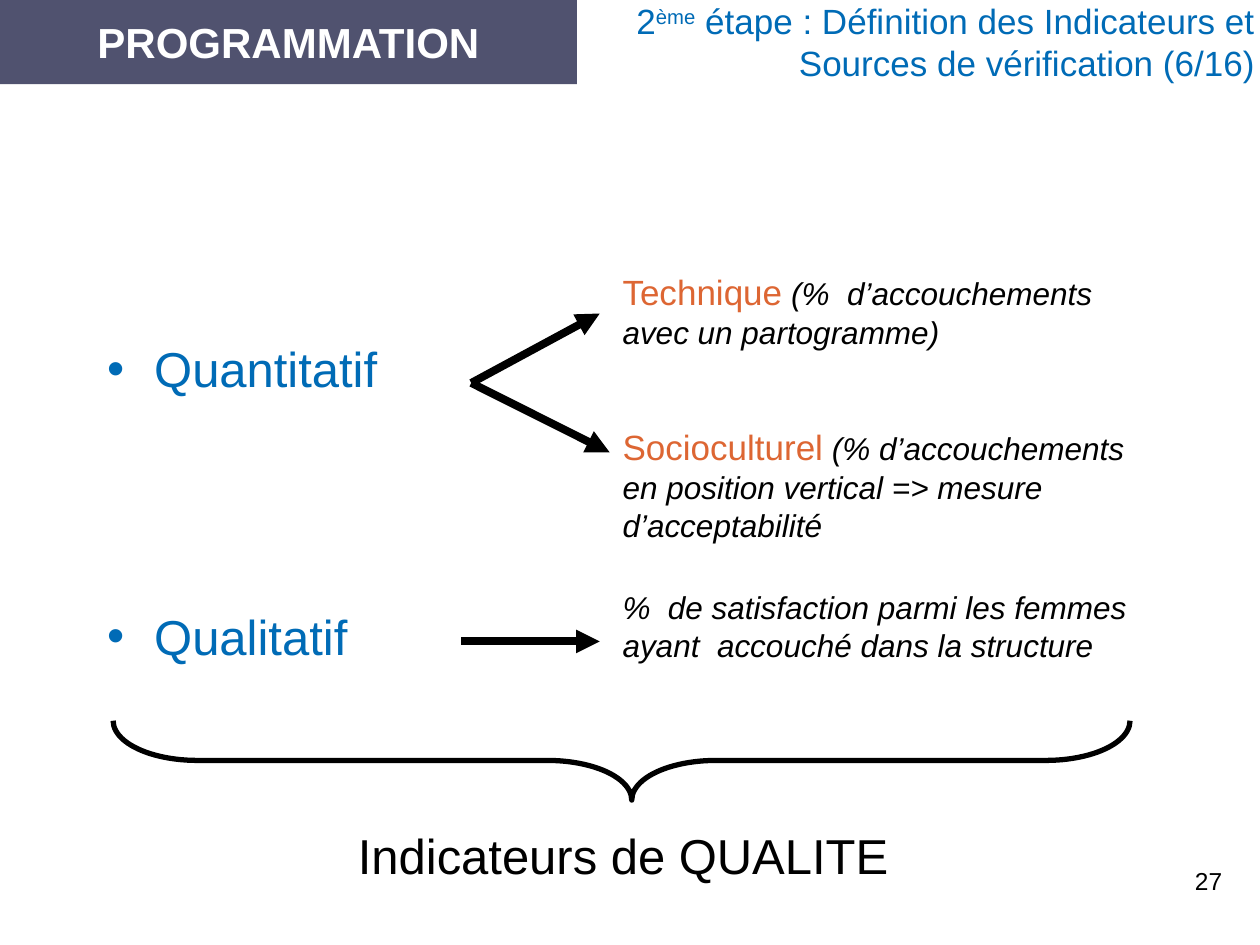
from lxml import etree
from pptx import Presentation
from pptx.dml.color import RGBColor
from pptx.enum.shapes import MSO_CONNECTOR, MSO_SHAPE
from pptx.enum.text import MSO_ANCHOR, PP_ALIGN
from pptx.oxml.ns import qn
from pptx.util import Cm, Pt

LEFT, CENTER, RIGHT = PP_ALIGN.LEFT, PP_ALIGN.CENTER, PP_ALIGN.RIGHT
TOP, MIDDLE = MSO_ANCHOR.TOP, MSO_ANCHOR.MIDDLE
RECTANGLE, BRACE = MSO_SHAPE.RECTANGLE, MSO_SHAPE.RIGHT_BRACE
STRAIGHT = MSO_CONNECTOR.STRAIGHT

BLUE, ORANGE, BLACK, WHITE, SLATE = "006BB6", "DD6633", "000000", "FFFFFF", "50526F"
DEFAULT_INSETS = (0.25, 0.13, 0.25, 0.13)
NO_INSETS = (0, 0, 0, 0)


def color(value):
    return RGBColor.from_string(value)


def set_attributes(target, values):
    for name, value in values.items():
        setattr(target, name, value)


class SlideBuilder:
    font_name = "Arial"

    def __init__(self, slide):
        self.slide = slide

    def fill_text(self, shape, paragraphs, align=LEFT, anchor=TOP, insets=DEFAULT_INSETS, bullet=False):
        frame = shape.text_frame
        left, top, right, bottom = insets
        set_attributes(frame, {
            "word_wrap": True, "vertical_anchor": anchor,
            "margin_left": Cm(left), "margin_top": Cm(top),
            "margin_right": Cm(right), "margin_bottom": Cm(bottom),
        })
        for index, (space_before, runs) in enumerate(paragraphs):
            paragraph = frame.add_paragraph() if index else frame.paragraphs[0]
            set_attributes(paragraph, {"alignment": align, "space_before": Pt(space_before)})
            if bullet:
                self.add_bullet(paragraph)
            for text, size, ink, values in runs:
                self.add_run(paragraph, text, size, ink, values)

    def add_run(self, paragraph, text, size, ink, values):
        run = paragraph.add_run()
        run.text = text
        set_attributes(run.font, {"name": self.font_name, "size": Pt(size)})
        run.font.color.rgb = color(ink)
        for name, value in values.items():
            if name == "baseline":
                run._r.get_or_add_rPr().set(name, value)
            else:
                setattr(run.font, name, value)

    def add_bullet(self, paragraph):
        properties = paragraph._p.get_or_add_pPr()
        indent = Cm(0.95)
        properties.set("marL", str(indent))
        properties.set("indent", str(-indent))
        bullet_color = etree.SubElement(properties, qn("a:buClr"))
        etree.SubElement(bullet_color, qn("a:srgbClr"), val=BLUE)
        etree.SubElement(properties, qn("a:buFont"), typeface=self.font_name)
        etree.SubElement(properties, qn("a:buChar"), char="•")

    def text(self, box, paragraphs, **layout):
        shape = self.slide.shapes.add_textbox(*map(Cm, box))
        self.fill_text(shape, paragraphs, **layout)

    def banner(self, box, paragraphs):
        shape = self.slide.shapes.add_shape(RECTANGLE, *map(Cm, box))
        shape.shadow.inherit = False
        shape.fill.solid()
        shape.fill.fore_color.rgb = color(SLATE)
        shape.line.fill.background()
        self.fill_text(shape, paragraphs, align=CENTER, anchor=MIDDLE)

    def brace(self, box, curve, point):
        shape = self.slide.shapes.add_shape(BRACE, *map(Cm, box))
        shape.shadow.inherit = False
        shape.rotation = 90
        shape.adjustments[0] = curve
        shape.adjustments[1] = point
        shape.fill.background()
        shape.line.color.rgb = color(BLACK)
        shape.line.width = Pt(3)

    def arrow(self, start, end):
        connector = self.slide.shapes.add_connector(STRAIGHT, *map(Cm, start + end))
        connector.line.color.rgb = color(BLACK)
        connector.line.width = Pt(4.5)
        etree.SubElement(connector.line._get_or_add_ln(), qn("a:tailEnd"), type="triangle")
        etree.SubElement(connector._element.spPr, qn("a:effectLst"))


def example(label, detail):
    return [(label, 20, ORANGE, {}), (" ", 18, BLACK, {"bold": True}),
            (detail, 18, BLACK, {"italic": True})]


def main():
    presentation = Presentation()
    set_attributes(presentation, {"slide_width": Cm(25.4), "slide_height": Cm(19.05)})
    builder = SlideBuilder(presentation.slides.add_slide(presentation.slide_layouts[6]))

    builder.banner((0, 0, 11.63, 1.7), [(0, [("PROGRAMMATION", 24, WHITE, {"bold": True})])])
    builder.text((12.32, 0, 13.08, 1.88), [(0, [
        ("2", 20, BLUE, {}),
        ("ème", 20, BLUE, {"baseline": "30000"}),
        (" étape : Définition des Indicateurs et Sources de vérification (6/16)", 20, BLUE, {}),
    ])], align=RIGHT, insets=(0.1, 0, 0.1, 0))

    for label, top in (("Quantitatif", 6.83), ("Qualitatif", 12.23)):
        builder.text((2.16, top, 7, 1.2), [(0, [(label, 28, BLUE, {})])],
                     insets=NO_INSETS, bullet=True)

    builder.text((12.3, 5.33, 11.4, 5.8), [
        (0, example("Technique", "(%  d’accouchements avec un partogramme)")),
        (43, example("Socioculturel", "(% d’accouchements en position vertical => mesure d’acceptabilité")),
    ])
    builder.text((12.3, 11.73, 11.4, 1.78), [(0, [
        ("%  de satisfaction parmi les femmes ayant  accouché dans la structure",
         18, BLACK, {"italic": True}),
    ])])

    fork = (9.5, 7.72)
    for start, end in ((fork, (12.09, 6.32)), (fork, (12.29, 9.12)),
                       ((9.3, 12.93), (12.09, 12.93))):
        builder.arrow(start, end)

    builder.brace((11.73, 5.08, 1.6, 20.5), curve=1.06, point=0.49)
    builder.text((2.16, 16.64, 20.8, 1.2), [(0, [("Indicateurs de QUALITE", 28, BLACK, {})])],
                 align=CENTER, insets=NO_INSETS)
    builder.text((19.61, 17.32, 5.28, 1.27), [(0, [("27", 14, BLACK, {})])], align=RIGHT)

    presentation.save("out.pptx")


if __name__ == "__main__":
    main()
